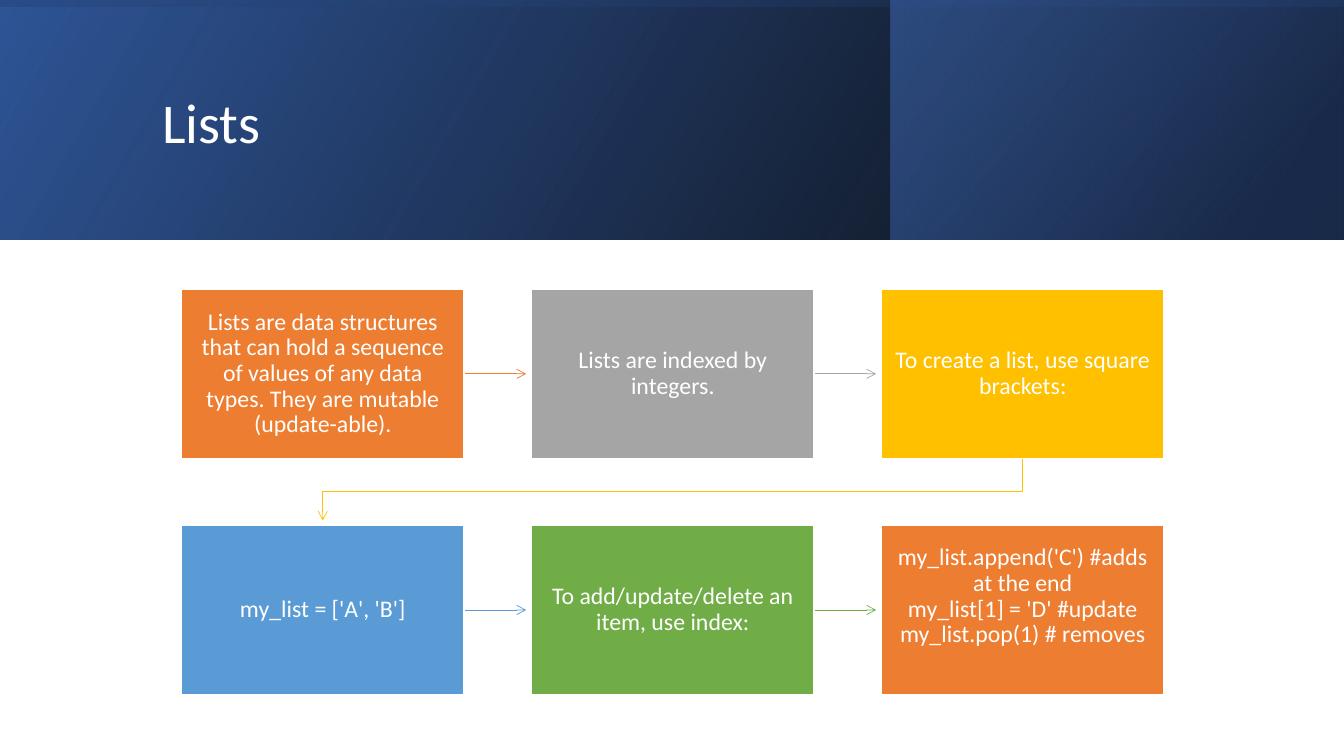
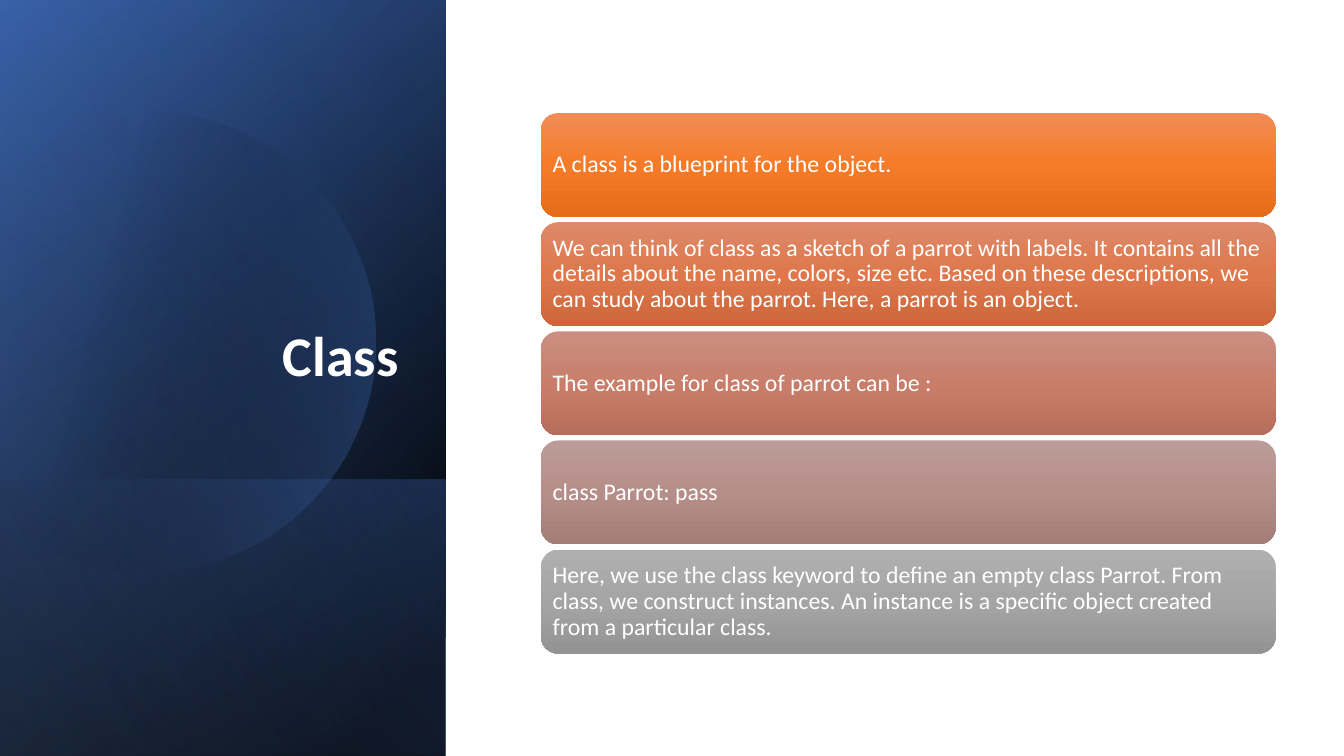
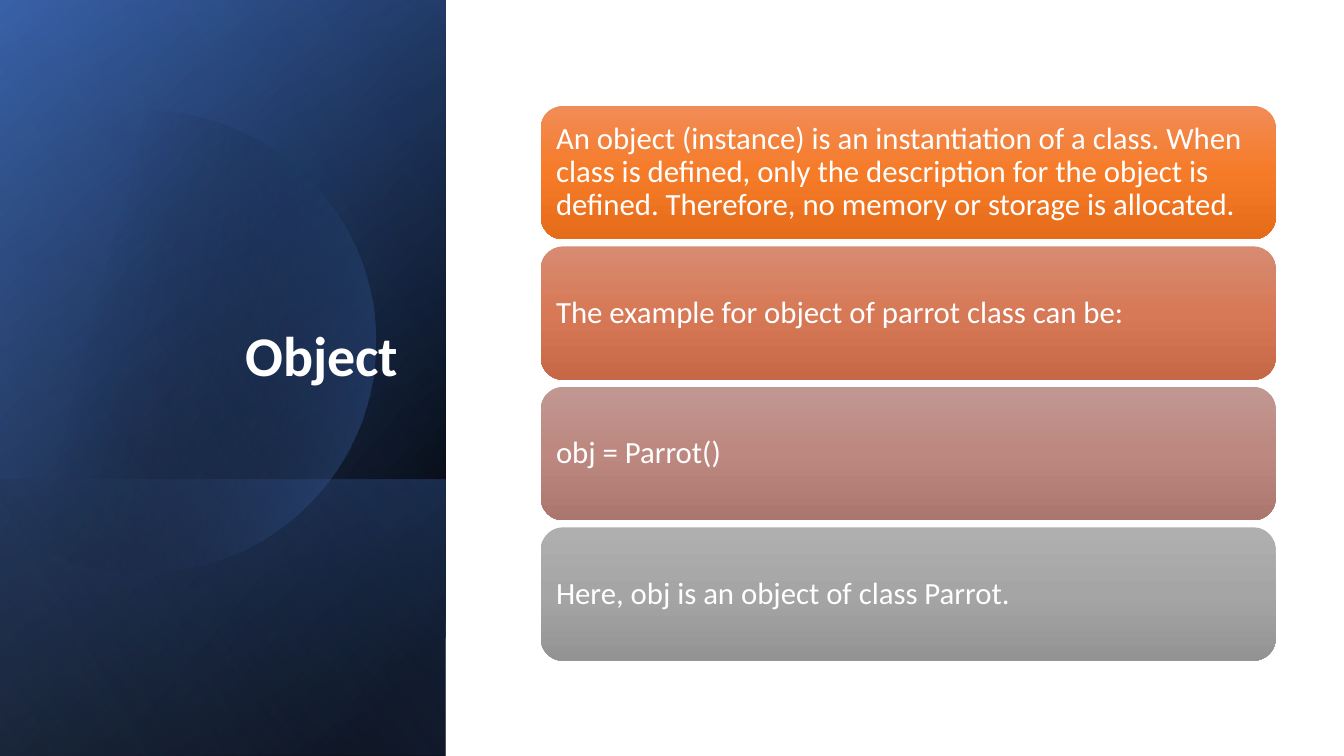
from math import cos, radians, sin

from pptx import Presentation
from pptx.dml.color import RGBColor
from pptx.enum.shapes import MSO_CONNECTOR, MSO_SHAPE
from pptx.enum.text import MSO_ANCHOR, PP_ALIGN
from pptx.oxml import parse_xml
from pptx.oxml.ns import nsdecls, qn
from pptx.util import Cm, Pt

RECTANGLE = MSO_SHAPE.RECTANGLE
ROUNDED = MSO_SHAPE.ROUNDED_RECTANGLE
STRAIGHT = MSO_CONNECTOR.STRAIGHT
LEFT, CENTER, RIGHT = PP_ALIGN.LEFT, PP_ALIGN.CENTER, PP_ALIGN.RIGHT
MIDDLE, BOTTOM = MSO_ANCHOR.MIDDLE, MSO_ANCHOR.BOTTOM

PAGE_WIDTH, PAGE_HEIGHT = 33.87, 19.05
BAND_HEIGHT = 6.03
SIDE_WIDTH = 11.23
WHITE, BLACK = "FFFFFF", "000000"
NAVY, DEEP, BLUE, PALE = "2F5597", "203864", "4472C4", "8FAADC"
ORANGE, GRAY, GOLD, SKY, GREEN = "ED7D31", "A5A5A5", "FFC000", "5B9BD5", "70AD47"
ORANGE_RAMP = ("F18C57", "F67B28", "E56C19")
GRAY_RAMP = ("AFAFAF", "A5A5A5", "939393")

LIST_STEPS = [
    ("Lists are data structures that can hold a sequence of values of any data types. "
     "They are mutable (update-able).", ORANGE),
    ("Lists are indexed by integers.", GRAY),
    ("To create a list, use square brackets:", GOLD),
    ("my_list = ['A', 'B']", SKY),
    ("To add/update/delete an item, use index:", GREEN),
    ("my_list.append('C') #adds at the end\vmy_list[1] = 'D' #update\v"
     "my_list.pop(1) # removes", ORANGE),
]
CLASS_BARS = [
    ("A class is a blueprint for the object.", ORANGE_RAMP),
    ("We can think of class as a sketch of a parrot with labels. It contains all the "
     "details about the name, colors, size etc. Based on these descriptions, we can "
     "study about the parrot. Here, a parrot is an object.",
     ("DD8A6A", "DE774B", "CD673B")),
    ("The example for class of parrot can be :", ("CB8F81", "C97E6B", "B76D5B")),
    ("class Parrot: pass", ("BC9C99", "B68E89", "A47C78")),
    ("Here, we use the class keyword to define an empty class Parrot. From class, "
     "we construct instances. An instance is a specific object created from a "
     "particular class.", GRAY_RAMP),
]
OBJECT_BARS = [
    ("An object (instance) is an instantiation of a class. When class is defined, only "
     "the description for the object is defined. Therefore, no memory or storage is "
     "allocated.", ORANGE_RAMP),
    ("The example for object of parrot class can be:", ("D78B72", "D77956", "C66846")),
    ("obj = Parrot()", ("C19791", "BC8880", "AA766E")),
    ("Here, obj is an object of class Parrot.", GRAY_RAMP),
]


def colour(value):
    return RGBColor.from_string(value)


class Deck:
    font = "Calibri"
    title_size = 40
    line_spacing = 0.9

    def __init__(self):
        self.deck = Presentation()
        self.deck.slide_width, self.deck.slide_height = Cm(PAGE_WIDTH), Cm(PAGE_HEIGHT)
        self.page = None

    def new_page(self):
        self.page = self.deck.slides.add_slide(self.deck.slide_layouts[6])

    def set_text(self, box, text, size, align, anchor, insets, bold=False):
        frame = box.text_frame
        frame.word_wrap = True
        frame.vertical_anchor = anchor
        (frame.margin_left, frame.margin_top,
         frame.margin_right, frame.margin_bottom) = [Cm(inset) for inset in insets]
        para = frame.paragraphs[0]
        para.text = text
        para.alignment = align
        para.line_spacing = self.line_spacing
        for span in para.runs:
            span.font.name = self.font
            span.font.size = Pt(size)
            span.font.bold = bold
            span.font.color.rgb = colour(WHITE)

    def gradient(self, shape, stops, angle):
        shape.shadow.inherit = False
        shape.line.fill.background()
        shape.fill.background()
        marks = "".join(
            f'<a:gs pos="{place * 1000}"><a:srgbClr val="{shade}">'
            f'<a:alpha val="{opacity * 1000}"/></a:srgbClr></a:gs>'
            for place, shade, opacity in stops)
        fill = parse_xml(
            f'<a:gradFill {nsdecls("a")} rotWithShape="1"><a:gsLst>{marks}</a:gsLst>'
            f'<a:lin ang="{angle * 60000}" scaled="0"/></a:gradFill>')
        properties = shape.element.spPr
        properties.replace(properties.find(qn("a:noFill")), fill)

    def panel(self, left, top, width, height, stops, angle, rotation=0):
        if rotation % 180:
            left, top = left + (width - height) / 2, top + (height - width) / 2
            width, height = height, width
        shape = self.page.shapes.add_shape(
            RECTANGLE, Cm(left), Cm(top), Cm(width), Cm(height))
        shape.rotation = rotation
        shape.element.spPr.xfrm.set("flipH", "1")
        self.gradient(shape, stops, angle)

    def outline(self, points, close):
        spots = [(Cm(x), Cm(y)) for x, y in points]
        builder = self.page.shapes.build_freeform(*spots[0])
        builder.add_line_segments(spots[1:], close=close)
        shape = builder.convert_to_shape()
        shape.shadow.inherit = False
        return shape

    def disc(self):
        center_x, center_y, radius = 3.63, 8.61, 5.82
        rim = [(center_x + radius * cos(radians(angle)), center_y + radius * sin(radians(angle)))
               for angle in range(-128, 129, 2)]
        self.gradient(self.outline(rim, True), [(29, BLACK, 0), (100, BLUE, 43)], 14)

    def title(self, text, left, top, width, height, align=LEFT, anchor=MIDDLE,
              bottom=0.13, bold=False):
        box = self.page.shapes.add_textbox(Cm(left), Cm(top), Cm(width), Cm(height))
        self.set_text(box, text, self.title_size, align, anchor,
                      (0.25, 0.13, 0.25, bottom), bold)

    def top_band(self, text):
        self.panel(0, 0, PAGE_WIDTH, BAND_HEIGHT, [(0, BLACK, 96), (100, NAVY, 100)], 330)
        self.panel(22.45, 0, 11.4, BAND_HEIGHT, [(19, DEEP, 68), (100, BLUE, 48)], 320)
        self.panel(0, 0, PAGE_WIDTH, BAND_HEIGHT, [(23, NAVY, 16), (99, BLACK, 45)], 350, 270)
        self.title(text, 3.84, 0.97, 27, 4.37)

    def side_band(self, text):
        whole = (0, 0, SIDE_WIDTH, PAGE_HEIGHT)
        self.panel(*whole, [(8, BLACK, 100), (100, NAVY, 100)], 50, 90)
        self.panel(*whole, [(0, BLACK, 0), (99, BLUE, 46)], 30, 90)
        self.panel(0, 12.09, SIDE_WIDTH, 6.96, [(2, BLUE, 29), (100, BLACK, 30)], 130, 90)
        self.disc()
        self.panel(*whole, [(0, BLACK, 0), (99, PALE, 11)], 120, 90)
        self.title(text, 1.63, 4.67, 8.66, 6.65, RIGHT, BOTTOM, 1.68, True)

    def arrow_line(self, shape, shade):
        shape.line.color.rgb = colour(shade)
        shape.line.width = Pt(0.5)
        shape.element.spPr.find(qn("a:ln")).append(
            parse_xml(f'<a:tailEnd {nsdecls("a")} type="arrow"/>'))

    def arrow(self, left, top, length, shade):
        line = self.page.shapes.add_connector(
            STRAIGHT, Cm(left), Cm(top), Cm(left + length), Cm(top))
        self.arrow_line(line, shade)
        line.element.spPr.append(parse_xml(f'<a:effectLst {nsdecls("a")}/>'))

    def bent_arrow(self, points, shade):
        line = self.outline(points, False)
        line.fill.background()
        self.arrow_line(line, shade)

    def card(self, left, top, width, height, text, shade, bottom):
        box = self.page.shapes.add_shape(
            RECTANGLE, Cm(left), Cm(top), Cm(width), Cm(height))
        box.shadow.inherit = False
        box.fill.solid()
        box.fill.fore_color.rgb = colour(shade)
        box.line.color.rgb = colour(WHITE)
        box.line.width = Pt(1)
        self.set_text(box, text, 17, CENTER, MIDDLE, (0.35, 0.37, 0.35, bottom))

    def flow(self, steps):
        columns, width, height = 3, 7.13, 4.28
        first_left, first_top, step_x, step_y, reach = 4.57, 7.28, 8.82, 5.95, 1.56
        last = len(steps) - 1
        for index, (text, shade) in enumerate(steps):
            row, column = divmod(index, columns)
            left, top = first_left + column * step_x, first_top + row * step_y
            if column < columns - 1:
                self.arrow(left + width, top + height / 2, reach, shade)
            elif index < last:
                start, end = left + width / 2, first_left + width / 2
                base = top + height
                turn = base + (step_y - height) / 2
                self.bent_arrow([(start, base), (start, turn), (end, turn),
                                 (end, base + reach)], shade)
            self.card(left, top, width, height, text, shade, 1.04 if index == last else 0.37)

    def bars(self, entries, height, gap, size, inset):
        left, width, middle = 13.63, 18.52, 9.66
        first_top = middle - (len(entries) * (height + gap) - gap) / 2
        for index, (text, ramp) in enumerate(entries):
            top = first_top + index * (height + gap)
            box = self.page.shapes.add_shape(
                ROUNDED, Cm(left), Cm(top), Cm(width), Cm(height))
            self.gradient(box, [(place, shade, 100) for place, shade in zip((0, 50, 100), ramp)], 90)
            self.set_text(box, text, size, LEFT, MIDDLE, (inset,) * 4)


def main():
    deck = Deck()
    deck.new_page()
    deck.top_band("Lists")
    deck.flow(LIST_STEPS)
    deck.new_page()
    deck.side_band("Class")
    deck.bars(CLASS_BARS, 2.62, 0.13, 17, 0.17)
    deck.new_page()
    deck.side_band("Object")
    deck.bars(OBJECT_BARS, 3.36, 0.18, 22, 0.22)
    deck.deck.save("out.pptx")


if __name__ == "__main__":
    main()
